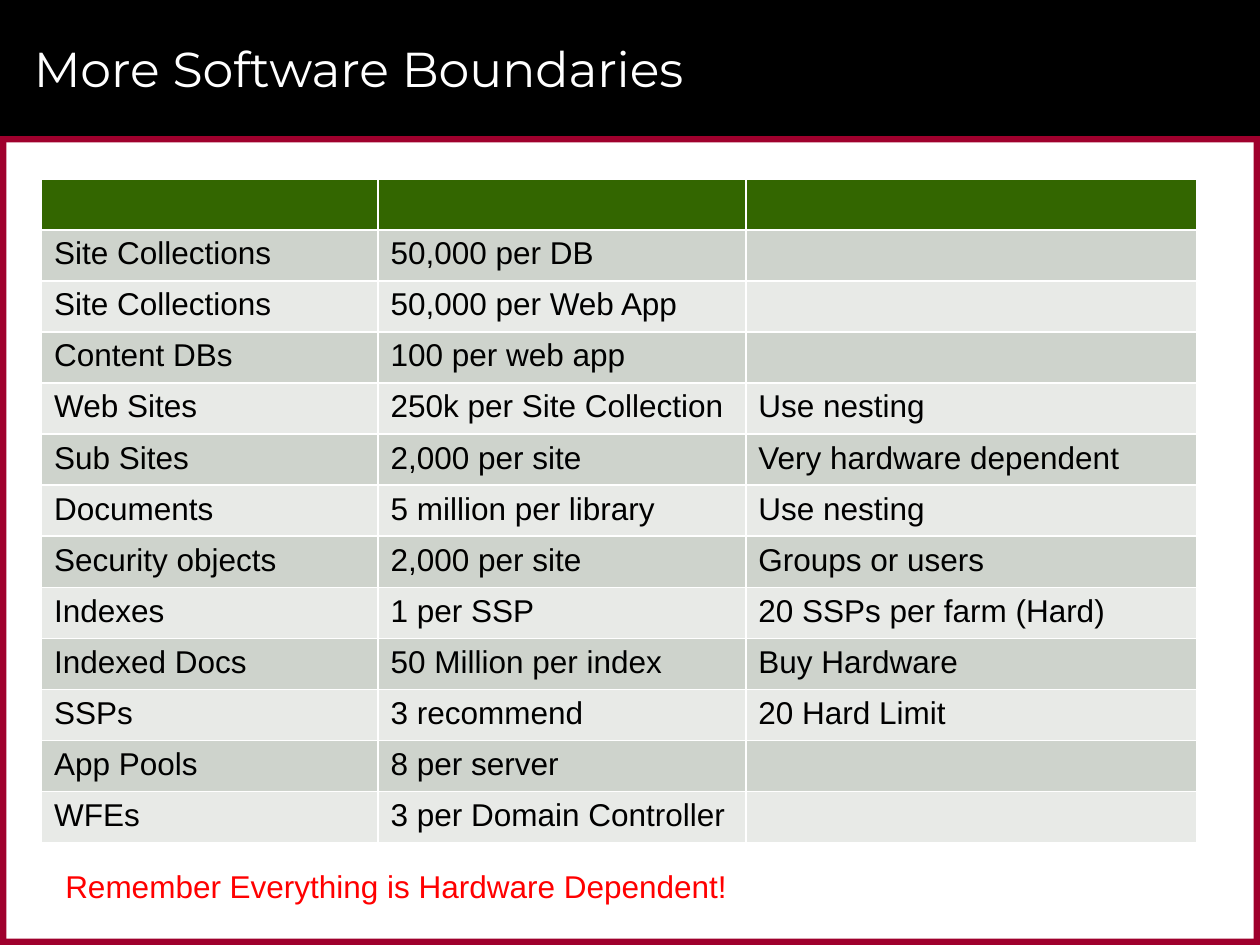
from dataclasses import dataclass

from lxml.etree import SubElement
from pptx import Presentation
from pptx.dml.color import RGBColor
from pptx.enum.shapes import MSO_SHAPE
from pptx.enum.text import MSO_ANCHOR
from pptx.oxml.ns import qn
from pptx.util import Inches, Pt

WIDTH, HEIGHT = 10, 7.5
HEADER_HEIGHT, FRAME = 1.08, 0.05
BLACK, WHITE, CRIMSON, RED = "000000", "FFFFFF", "9F002D", "FF0000"
GREEN, BANDS = "336600", ("CED3CC", "E8EAE7")
COLUMN_WIDTHS = (2.67, 2.92, 3.58)
TABLE_HEIGHT = 5.27

LIMITS = (
    ("", "", ""),
    ("Site Collections", "50,000 per DB", ""),
    ("Site Collections", "50,000 per Web App", ""),
    ("Content DBs", "100 per web app", ""),
    ("Web Sites", "250k per Site Collection", "Use nesting"),
    ("Sub Sites", "2,000 per site", "Very hardware dependent"),
    ("Documents", "5 million per library", "Use nesting"),
    ("Security objects", "2,000 per site", "Groups or users"),
    ("Indexes", "1 per SSP", "20 SSPs per farm (Hard)"),
    ("Indexed Docs", "50 Million per index", "Buy Hardware"),
    ("SSPs", "3 recommend", "20 Hard Limit"),
    ("App Pools", "8 per server", ""),
    ("WFEs", "3 per Domain Controller", ""),
)


@dataclass(frozen=True)
class Box:
    """A rectangle in inches."""
    left: float
    top: float
    width: float
    height: float

    def emu(self) -> tuple:
        """Return the four lengths in slide units."""
        return tuple(Inches(v) for v in (self.left, self.top, self.width, self.height))


@dataclass(frozen=True)
class Style:
    """The look of a run of text."""
    font: str
    size: float
    color: str


BODY = Style("Arial", 18, BLACK)


def rgb(color: str) -> RGBColor:
    """Turn a hex string into a colour."""
    return RGBColor.from_string(color)


def add_bar(slide, box: Box, color: str) -> None:
    """Draw a plain filled rectangle."""
    shape = slide.shapes.add_shape(MSO_SHAPE.RECTANGLE, *box.emu())
    shape.shadow.inherit = False
    shape.fill.solid()
    shape.fill.fore_color.rgb = rgb(color)
    shape.line.fill.background()


def add_run(paragraph, text: str, style: Style) -> None:
    """Append one styled run to a paragraph."""
    run = paragraph.add_run()
    run.text = text
    run.font.name, run.font.size = style.font, Pt(style.size)
    run.font.color.rgb = rgb(style.color)


def add_text(slide, box: Box, text: str, style: Style, anchor=MSO_ANCHOR.TOP) -> None:
    """Draw a wrapped text box of one paragraph."""
    frame = slide.shapes.add_textbox(*box.emu()).text_frame
    frame.word_wrap = True
    frame.vertical_anchor = anchor
    add_run(frame.paragraphs[0], text, style)


def format_cell(cell, fill: str) -> None:
    """Give a cell white one-point borders and a solid fill."""
    properties = cell._tc.get_or_add_tcPr()
    for side in ("lnL", "lnR", "lnT", "lnB"):
        line = SubElement(properties, qn(f"a:{side}"), w=str(Pt(1)))
        SubElement(SubElement(line, qn("a:solidFill")), qn("a:srgbClr"), val=WHITE)
    cell.fill.solid()
    cell.fill.fore_color.rgb = rgb(fill)


def add_limits_table(slide, box: Box) -> None:
    """Draw the banded table of software limits."""
    table = slide.shapes.add_table(len(LIMITS), len(COLUMN_WIDTHS), *box.emu()).table
    for column, width in zip(table.columns, COLUMN_WIDTHS):
        column.width = Inches(width)
    for index, (row, texts) in enumerate(zip(table.rows, LIMITS)):
        row.height = Inches(box.height / len(LIMITS))
        fill = BANDS[(index - 1) % 2] if index else GREEN
        for cell, text in zip(row.cells, texts):
            format_cell(cell, fill)
            if text:
                add_run(cell.text_frame.paragraphs[0], text, BODY)


def main() -> None:
    """Build the slide and save it."""
    presentation = Presentation()
    presentation.slide_width, presentation.slide_height = Inches(WIDTH), Inches(HEIGHT)
    slide = presentation.slides.add_slide(presentation.slide_layouts[6])

    header = Box(0, 0, WIDTH, HEADER_HEIGHT)
    add_bar(slide, header, BLACK)
    for top in (HEADER_HEIGHT, HEIGHT - FRAME):
        add_bar(slide, Box(0, top, WIDTH, FRAME), CRIMSON)
    for left in (0, WIDTH - FRAME):
        add_bar(slide, Box(left, HEADER_HEIGHT, FRAME, HEIGHT - HEADER_HEIGHT), CRIMSON)

    add_text(slide, Box(0.17, 0, 9.17, HEADER_HEIGHT), "More Software Boundaries",
             Style("Montserrat", 28, WHITE), MSO_ANCHOR.MIDDLE)
    add_limits_table(slide, Box(0.33, 1.42, sum(COLUMN_WIDTHS), TABLE_HEIGHT))
    add_text(slide, Box(0.42, 6.83, 8, 0.4), "Remember Everything is Hardware Dependent!",
             Style("Arial", 18, RED))
    presentation.save("out.pptx")


main()
